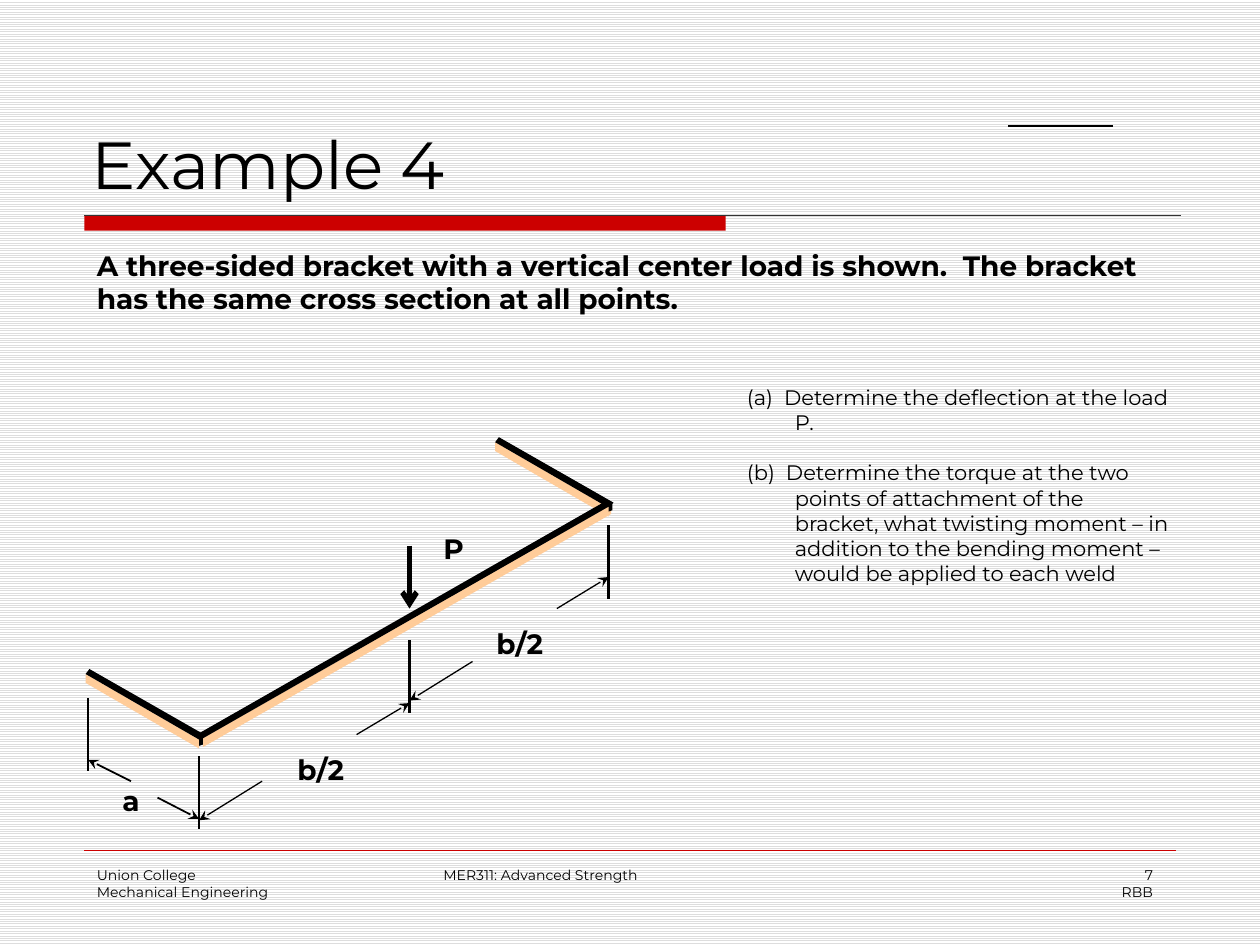
from pptx import Presentation
from pptx.util import Inches, Pt
from pptx.dml.color import RGBColor
from pptx.enum.dml import MSO_PATTERN as Pat
from pptx.enum.shapes import MSO_CONNECTOR as Conn, MSO_SHAPE as Shp
from pptx.enum.text import MSO_ANCHOR as Anchor, MSO_AUTO_SIZE as Auto, PP_ALIGN as Align
from pptx.oxml.ns import qn
from lxml.etree import SubElement

FONT = "Montserrat"
BLACK, RED, TAN = "000000", "CC0000", "FFCC99"
rgb = RGBColor.from_string


def write(box, lines, size, bold=False, align=Align.LEFT):
    """Fill a text shape, one paragraph per line."""
    frame = box.text_frame
    frame.word_wrap = True
    frame.auto_size = Auto.NONE
    for i, line in enumerate(lines):
        para = frame.add_paragraph() if i else frame.paragraphs[0]
        para.alignment = align
        run = para.add_run()
        run.text = line
        run.font.name, run.font.size, run.font.bold = FONT, Pt(size), bold
        run.font.color.rgb = rgb(BLACK)
    return frame


def rule(x1, y1, x2, y2, width=0.75, color=BLACK, tip=None):
    """Draw a straight line, with an arrowhead at its end if tip is given."""
    line = shapes.add_connector(Conn.STRAIGHT, Inches(x1), Inches(y1), Inches(x2), Inches(y2))
    line.line.width = Pt(width)
    line.line.color.rgb = rgb(color)
    if tip:
        SubElement(line.line._get_or_add_ln(), qn("a:tailEnd"), type=tip)
    SubElement(line._element.spPr, qn("a:effectLst"))


prs = Presentation()
prs.slide_width, prs.slide_height = Inches(10), Inches(7.5)
slide = prs.slides.add_slide(prs.slide_layouts[5])
shapes = slide.shapes

back = slide.background.fill
back.patterned()
back.pattern = Pat.LIGHT_HORIZONTAL
back.fore_color.rgb = rgb("DDDDDD")
back.back_color.rgb = rgb("FFFFFF")

# Title, red bar and rules
title = shapes.title
title.left, title.top = Inches(0.63), Inches(0.33)
title.width, title.height = Inches(8.75), Inches(1.33)
write(title, ["Example 4"], 38).vertical_anchor = Anchor.BOTTOM

bar = shapes.add_shape(Shp.RECTANGLE, Inches(0.67), Inches(1.71), Inches(5.09), Inches(0.12))
bar.shadow.inherit = False
bar.fill.solid()
bar.fill.fore_color.rgb = rgb(RED)
bar.line.fill.background()
rule(0.67, 1.71, 9.37, 1.71, color="333333")
rule(0.67, 6.75, 9.33, 6.75, 0.25, RED)
rule(8, 1, 8.83, 1)

# Bracket: two arms joined by a long beam, each with a top and a front face
DEPTH = 0.07
faces = []
for dx, dy in ((0, 0), (3.25, -1.84)):
    top = [(0.71, 5.31), (1.62, 5.83), (1.58, 5.87), (0.68, 5.35)]
    faces.append([(x + dx, y + dy) for x, y in top])
faces.append([(1.58, 5.82), (4.82, 3.97), (4.85, 4.01), (1.61, 5.86)])

parts = []
for top in faces:
    (x1, y1), (x2, y2) = top[2:]
    parts.append((TAN, [(x1, y1), (x2, y2), (x2, y2 + DEPTH), (x1, y1 + DEPTH)]))
    parts.append((BLACK, top))
for x, y in ((1.58, 5.85), (4.83, 3.99)):
    parts.append((BLACK, [(x, y), (x + 0.03, y), (x + 0.03, y + DEPTH - 0.01), (x, y + DEPTH)]))

for color, pts in parts:
    pts = [(Inches(x), Inches(y)) for x, y in pts]
    build = shapes.build_freeform(*pts[0])
    build.add_line_segments(pts[1:], close=True)
    face = build.convert_to_shape()
    face.shadow.inherit = False
    face.fill.solid()
    face.fill.fore_color.rgb = rgb(color)
    face.line.fill.background()

# Load arrow, extension lines and dimension arrows
rule(3.25, 4.33, 3.25, 4.83, 3, tip="arrow")
for x, y in ((0.7, 5.54), (1.58, 6), (3.25, 5.08), (4.83, 4.17)):
    rule(x, y, x, y + 0.58, 1.25)
for x1, y1, x2, y2, width in (
    (4.42, 4.83, 4.83, 4.58, 0.75),
    (3.75, 5.25, 3.25, 5.56, 0.75),
    (2.83, 5.83, 3.25, 5.58, 0.75),
    (2.08, 6.2, 1.58, 6.51, 0.75),
    (1.04, 6.2, 0.7, 6.03, 1),
    (1.25, 6.33, 1.58, 6.5, 1),
):
    rule(x1, y1, x2, y2, width, tip="stealth")

# Text: left, top, width, height, lines, size, bold, alignment
intro = ("A three-sided bracket with a vertical center load is shown.  "
         "The bracket has the same cross section at all points.")
for x, y, w, h, lines, size, bold, align in (
    (0.67, 1.92, 8.67, 0.64, [intro], 16, True, Align.LEFT),
    (3.75, 4.92, 0.75, 0.37, ["b/2"], 16, True, Align.CENTER),
    (2.17, 5.92, 0.75, 0.37, ["b/2"], 16, True, Align.CENTER),
    (3.42, 4.17, 0.35, 0.37, ["P"], 16, True, Align.CENTER),
    (0.75, 6.17, 0.58, 0.37, ["a"], 16, True, Align.CENTER),
    (0.67, 6.83, 2.08, 0.5, ["Union College", "Mechanical Engineering"], 8, False, Align.LEFT),
    (3.42, 6.83, 3.17, 0.5, ["MER311: Advanced Strength"], 8, False, Align.LEFT),
    (7.17, 6.83, 2.08, 0.5, ["7", "RBB"], 8, False, Align.RIGHT),
):
    box = shapes.add_textbox(Inches(x), Inches(y), Inches(w), Inches(h))
    write(box, lines, size, bold, align)

tasks = shapes.add_textbox(Inches(5.83), Inches(3), Inches(3.58), Inches(1.92))
frame = write(tasks, [
    "(a)  Determine the deflection at the load P.",
    "(b)  Determine the torque at the two points of attachment of the bracket, "
    "what twisting moment – in addition to the bending moment – would be applied to each weld",
], 12)
for para in frame.paragraphs:
    props = para._p.get_or_add_pPr()
    props.set("marL", str(Inches(0.38)))
    props.set("indent", str(Inches(-0.38)))
frame.paragraphs[1].space_before = Pt(14.5)

prs.save("out.pptx")
